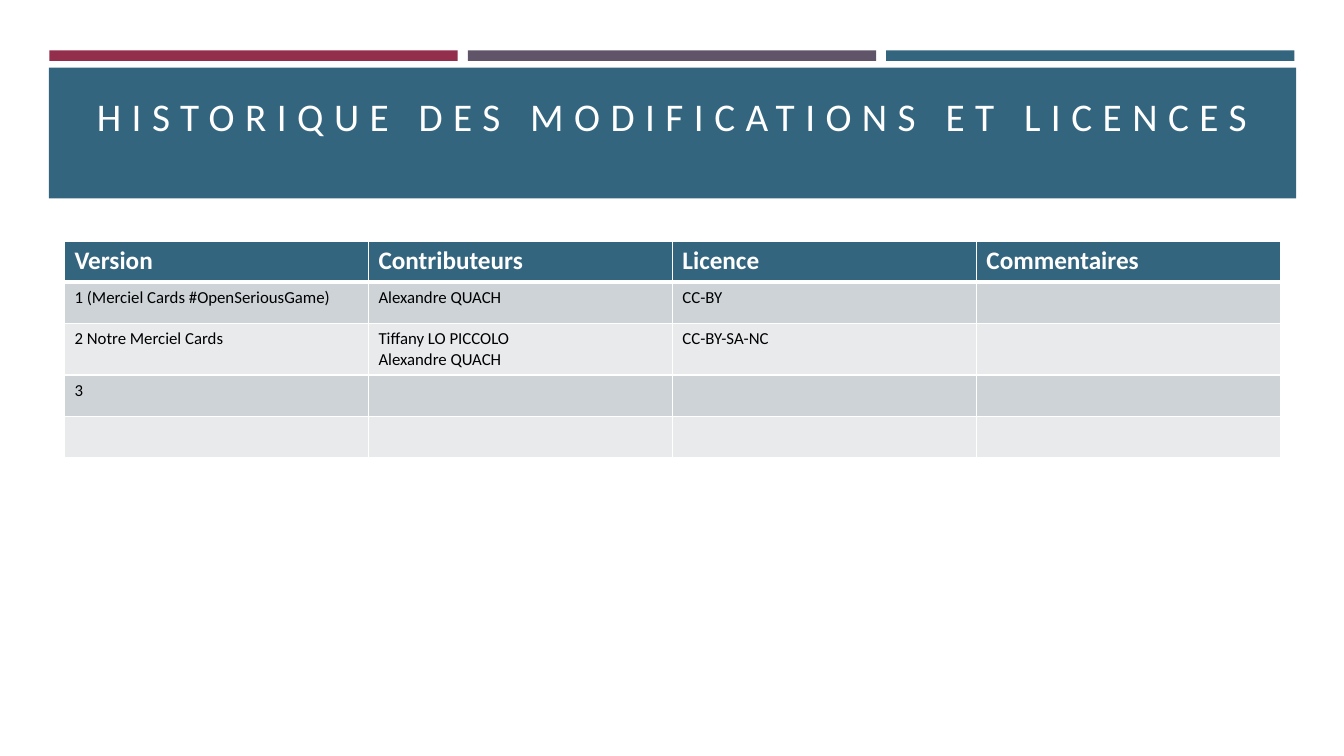
import dataclasses

import lxml.etree
import pptx
import pptx.dml.color
import pptx.enum.shapes
import pptx.enum.text
import pptx.oxml.ns
import pptx.util

SLIDE_WIDTH = pptx.util.Inches(13.33)
SLIDE_HEIGHT = pptx.util.Inches(7.5)
FONT = "Calibri"
WHITE, BLACK = "FFFFFF", "000000"
TEAL, RED, PURPLE = "34657F", "932E4C", "605469"
ROW_FILLS = ("CED3D8", "E8EAEC")

# Accent bars, in percent of the slide
BAR_LEFT, BAR_STEP, BAR_WIDTH = 3.68, 31.13, 30.38

TITLE = "HISTORIQUE DES MODIFICATIONS ET LICENCES"
HEADERS = ("Version", "Contributeurs", "Licence", "Commentaires")


@dataclasses.dataclass(frozen=True)
class Area:
    """A rectangle in percent of the slide's width and height."""
    left: float
    top: float
    width: float
    height: float

    def box(self) -> tuple[int, int, int, int]:
        return (across(self.left), down(self.top),
                across(self.width), down(self.height))


@dataclasses.dataclass(frozen=True)
class Block:
    area: Area
    color: str


@dataclasses.dataclass(frozen=True)
class TableRow:
    texts: tuple[str, ...]
    fill: str
    height: float = 5.47
    text_color: str = BLACK
    size: int = 12
    bold: bool = False
    bottom_border: float = 1


BLOCKS = [Block(Area(3.64, 8.93, 92.8, 17.33), TEAL)] + [
    Block(Area(BAR_LEFT + index * BAR_STEP, 6.67, BAR_WIDTH, 1.4), color)
    for index, color in enumerate((RED, PURPLE, TEAL))
]
TITLE_AREA = Area(4.8, 10.4, 90.47, 14.53)
ROWS = (
    TableRow(HEADERS, TEAL, text_color=WHITE, size=18, bold=True, bottom_border=3),
    TableRow(("1 (Merciel Cards #OpenSeriousGame)", "Alexandre QUACH", "CC-BY", ""),
             ROW_FILLS[0]),
    TableRow(("2 Notre Merciel Cards", "Tiffany LO PICCOLO\nAlexandre QUACH",
              "CC-BY-SA-NC", ""), ROW_FILLS[1], height=6.8),
    TableRow(("3", "", "", ""), ROW_FILLS[0]),
    TableRow(("", "", "", ""), ROW_FILLS[1]),
)
TABLE_AREA = Area(4.8, 31.87, 90.47, sum(row.height for row in ROWS))


def across(percent: float) -> int:
    return round(SLIDE_WIDTH * percent / 100)


def down(percent: float) -> int:
    return round(SLIDE_HEIGHT * percent / 100)


def rgb(value: str) -> pptx.dml.color.RGBColor:
    return pptx.dml.color.RGBColor.from_string(value)


def format_runs(paragraph, size: int, color: str, bold: bool = False) -> None:
    for run in paragraph.runs:
        run.font.name = FONT
        run.font.size = pptx.util.Pt(size)
        run.font.bold = bold
        run.font.color.rgb = rgb(color)


def draw_block(slide, block: Block) -> None:
    shape = slide.shapes.add_shape(
        pptx.enum.shapes.MSO_SHAPE.RECTANGLE, *block.area.box())
    shape.shadow.inherit = False
    shape.fill.solid()
    shape.fill.fore_color.rgb = rgb(block.color)
    shape.line.fill.background()


def draw_title(slide) -> None:
    title = slide.shapes.title
    title.left, title.top, title.width, title.height = TITLE_AREA.box()
    frame = title.text_frame
    frame.text = TITLE
    frame.word_wrap = True
    frame.auto_size = pptx.enum.text.MSO_AUTO_SIZE.NONE
    frame.vertical_anchor = pptx.enum.text.MSO_ANCHOR.TOP
    paragraph = frame.paragraphs[0]
    paragraph.alignment = pptx.enum.text.PP_ALIGN.CENTER
    paragraph.line_spacing = pptx.util.Pt(40)
    format_runs(paragraph, 28, WHITE)
    for run in paragraph.runs:
        run.font._element.set("spc", "750")
    # Bring the title in front of its band
    title.element.getparent().append(title.element)


def set_borders(cell, widths: dict[str, float]) -> None:
    properties = cell._tc.get_or_add_tcPr()
    for index, (side, width) in enumerate(widths.items()):
        line = lxml.etree.Element(pptx.oxml.ns.qn(f"a:ln{side}"),
                                  w=str(pptx.util.Pt(width)))
        fill = lxml.etree.SubElement(line, pptx.oxml.ns.qn("a:solidFill"))
        lxml.etree.SubElement(fill, pptx.oxml.ns.qn("a:srgbClr"), val=WHITE)
        properties.insert(index, line)


def draw_table(slide) -> None:
    table = slide.shapes.add_table(
        len(ROWS), len(HEADERS), *TABLE_AREA.box()).table
    for column in table.columns:
        column.width = across(TABLE_AREA.width / len(HEADERS))
    top_border = 1
    for row_index, row in enumerate(ROWS):
        table.rows[row_index].height = down(row.height)
        for column_index, text in enumerate(row.texts):
            cell = table.cell(row_index, column_index)
            cell.text_frame.text = text
            cell.fill.solid()
            cell.fill.fore_color.rgb = rgb(row.fill)
            for paragraph in cell.text_frame.paragraphs:
                format_runs(paragraph, row.size, row.text_color, row.bold)
            set_borders(cell, {"L": 1, "R": 1, "T": top_border,
                               "B": row.bottom_border})
        top_border = row.bottom_border


def main() -> None:
    presentation = pptx.Presentation()
    presentation.slide_width = SLIDE_WIDTH
    presentation.slide_height = SLIDE_HEIGHT
    slide = presentation.slides.add_slide(presentation.slide_layouts[5])

    # Header band and accent bars
    for block in BLOCKS:
        draw_block(slide, block)

    # Version history
    draw_table(slide)
    draw_title(slide)
    presentation.save("out.pptx")


if __name__ == "__main__":
    main()
